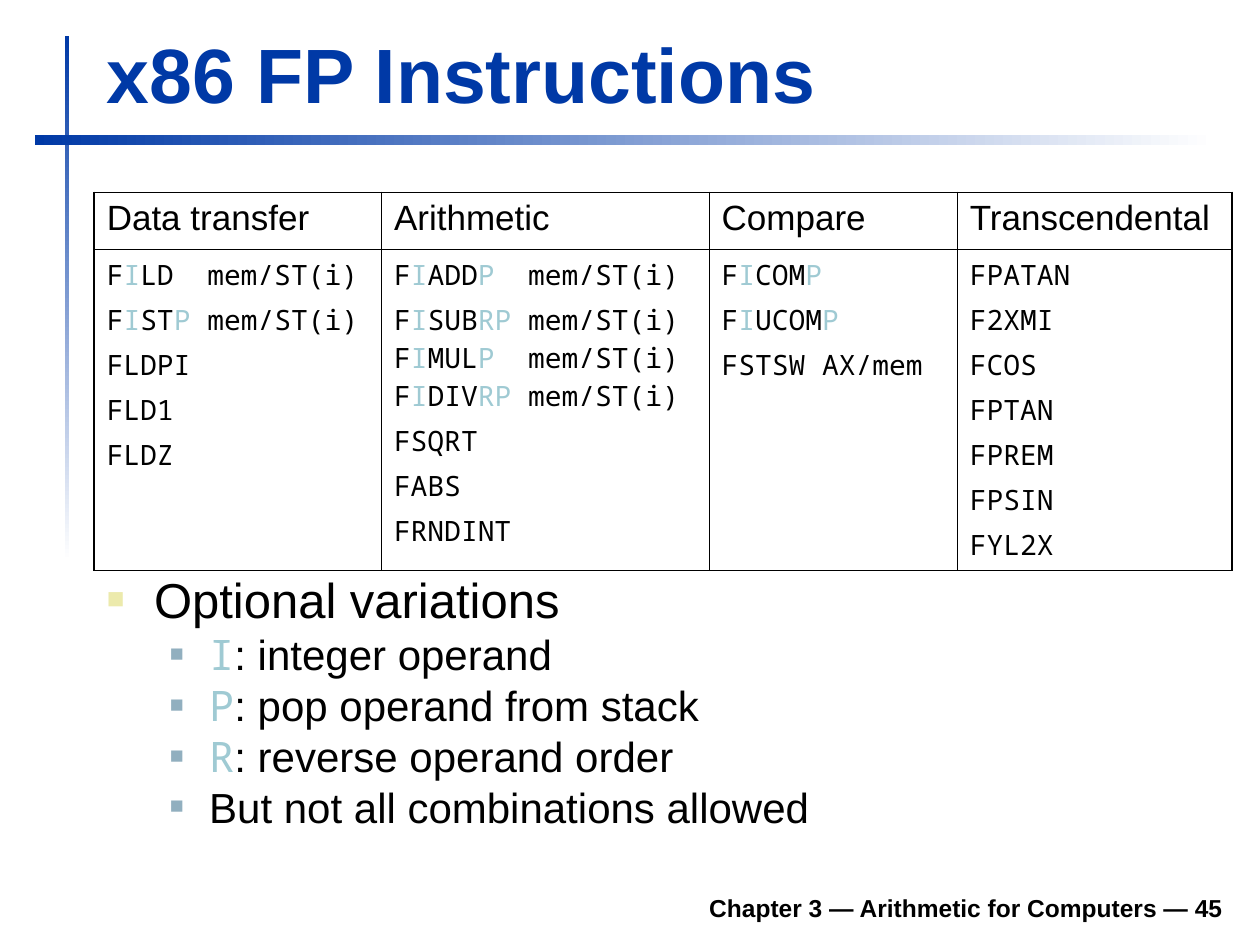
"""Build the slide on x86 floating-point instructions."""
from lxml import etree
from pptx import Presentation
from pptx.dml.color import RGBColor
from pptx.enum.shapes import MSO_SHAPE
from pptx.enum.text import MSO_ANCHOR, MSO_AUTO_SIZE, PP_ALIGN
from pptx.oxml.ns import qn
from pptx.util import Pt

RECT = MSO_SHAPE.RECTANGLE
BOTTOM = MSO_ANCHOR.BOTTOM
FIXED = MSO_AUTO_SIZE.NONE
LEFT, RIGHT = PP_ALIGN.LEFT, PP_ALIGN.RIGHT
SANS, MONO = "Arial", "Noto Sans Mono"
BLUE, BLACK, TEAL = "0039A6", "000000", "9FCAD3"


def tint(color, code):
    color.rgb = RGBColor.from_string(code)


def write(frame, text, size=16, font=SANS, color=BLACK, bold=False,
          align=LEFT, before=0, spacing=None):
    """Add a paragraph; parts between asterisks are teal, newlines break."""
    par = frame.paragraphs[0]
    if par.runs:
        par = frame.add_paragraph()
        par.space_before = Pt(before)
    par.alignment = align
    par.line_spacing = spacing
    for row, line in enumerate(text.split("\n")):
        if row:
            par.add_line_break()
        for pos, part in enumerate(line.split("*")):
            if part:
                run = par.add_run()
                run.text = part
                run.font.size = Pt(size)
                run.font.bold = bold
                run.font.name = MONO if pos % 2 else font
                tint(run.font.color, TEAL if pos % 2 else color)
    return par


prs = Presentation()
prs.slide_width, prs.slide_height = Pt(720), Pt(540)
slide = prs.slides.add_slide(prs.slide_layouts[5])
shapes = slide.shapes

bars = [(37, 20.4, 2.5, 300.24, 270), (19.8, 77.04, 674.64, 5.76, 0)]
for x, y, wide, high, angle in bars:
    bar = shapes.add_shape(RECT, Pt(x), Pt(y), Pt(wide), Pt(high))
    bar.shadow.inherit = False
    bar.line.fill.background()
    bar.fill.gradient()
    bar.fill.gradient_angle = angle
    for stop, code in zip(bar.fill.gradient_stops, (BLUE, "FFFFFF")):
        tint(stop.color, code)

title = shapes.title
title.left, title.top, title.width, title.height = Pt(53.8), Pt(11.5), Pt(650), Pt(60)
title.text_frame.auto_size = FIXED
title.text_frame.vertical_anchor = BOTTOM
write(title.text_frame, "x86 FP Instructions", size=44, color=BLUE, bold=True)

foot = shapes.add_textbox(Pt(133.5), Pt(502.6), Pt(572.4), Pt(28)).text_frame
foot.word_wrap = True
foot.vertical_anchor = BOTTOM
write(foot, "Chapter 3 — Arithmetic for Computers — 45", size=14, bold=True, align=RIGHT)

body = shapes.add_textbox(Pt(54), Pt(328.3), Pt(651), Pt(162.7)).text_frame
body.word_wrap = True
points = [
    (0, "Optional variations"),
    (1, "*I*: integer operand"),
    (1, "*P*: pop operand from stack"),
    (1, "*R*: reverse operand order"),
    (1, "But not all combinations allowed"),
]
looks = [(28, 27, 27, "ECEAAC", 60), (24, 58.5, 22.5, "91AFBF", 55)]
for level, text in points:
    size, margin, hang, code, scale = looks[level]
    par = write(body, text, size=size, before=6, spacing=0.8)
    par.level = level
    props = par._p.get_or_add_pPr()
    props.set("marL", str(Pt(margin)))
    props.set("indent", str(-Pt(hang)))
    paint = etree.SubElement(props, qn("a:buClr"))
    etree.SubElement(paint, qn("a:srgbClr"), val=code)
    etree.SubElement(props, qn("a:buSzPct"), val=str(scale * 1000))
    etree.SubElement(props, qn("a:buFont"), typeface=SANS)
    etree.SubElement(props, qn("a:buChar"), char="■")

groups = [
    ("Data transfer", 164.16,
     ["F*I*LD  mem/ST(i)", "F*I*ST*P* mem/ST(i)", "FLDPI", "FLD1", "FLDZ"]),
    ("Arithmetic", 187.2,
     ["F*I*ADD*P*  mem/ST(i)",
      "F*I*SUB*RP* mem/ST(i)\nF*I*MUL*P*  mem/ST(i)\nF*I*DIV*RP* mem/ST(i)",
      "FSQRT", "FABS", "FRNDINT"]),
    ("Compare", 141.84, ["F*I*COM*P*", "F*I*UCOM*P*", "FSTSW AX/mem"]),
    ("Transcendental", 156.96,
     ["FPATAN", "F2XMI", "FCOS", "FPTAN", "FPREM", "FPSIN", "FYL2X"]),
]
last = len(groups) - 1
grid = shapes.add_table(2, len(groups), Pt(53.8), Pt(110), Pt(650.16), Pt(216)).table
grid.first_row = grid.horz_banding = False
grid.rows[0].height, grid.rows[1].height = Pt(32.4), Pt(183.6)
for col, (head, width, codes) in enumerate(groups):
    grid.columns[col].width = Pt(width)
    write(grid.cell(0, col).text_frame, head, size=20)
    for code in codes:
        write(grid.cell(1, col).text_frame, code, font=MONO, before=4)
    for row in range(2):
        cell = grid.cell(row, col)
        edges = {
            "a:lnL": 0.45 if col else 1.08,
            "a:lnR": 1.08 if col == last else 0.45,
            "a:lnT": 0.75 if row else 1.08,
            "a:lnB": 1.08 if row else 0.75,
        }
        props = cell._tc.get_or_add_tcPr()
        for tag, weight in edges.items():
            edge = etree.SubElement(props, qn(tag), w=str(Pt(weight)))
            ink = etree.SubElement(edge, qn("a:solidFill"))
            etree.SubElement(ink, qn("a:srgbClr"), val=BLACK)
        cell.fill.background()

prs.save("out.pptx")
